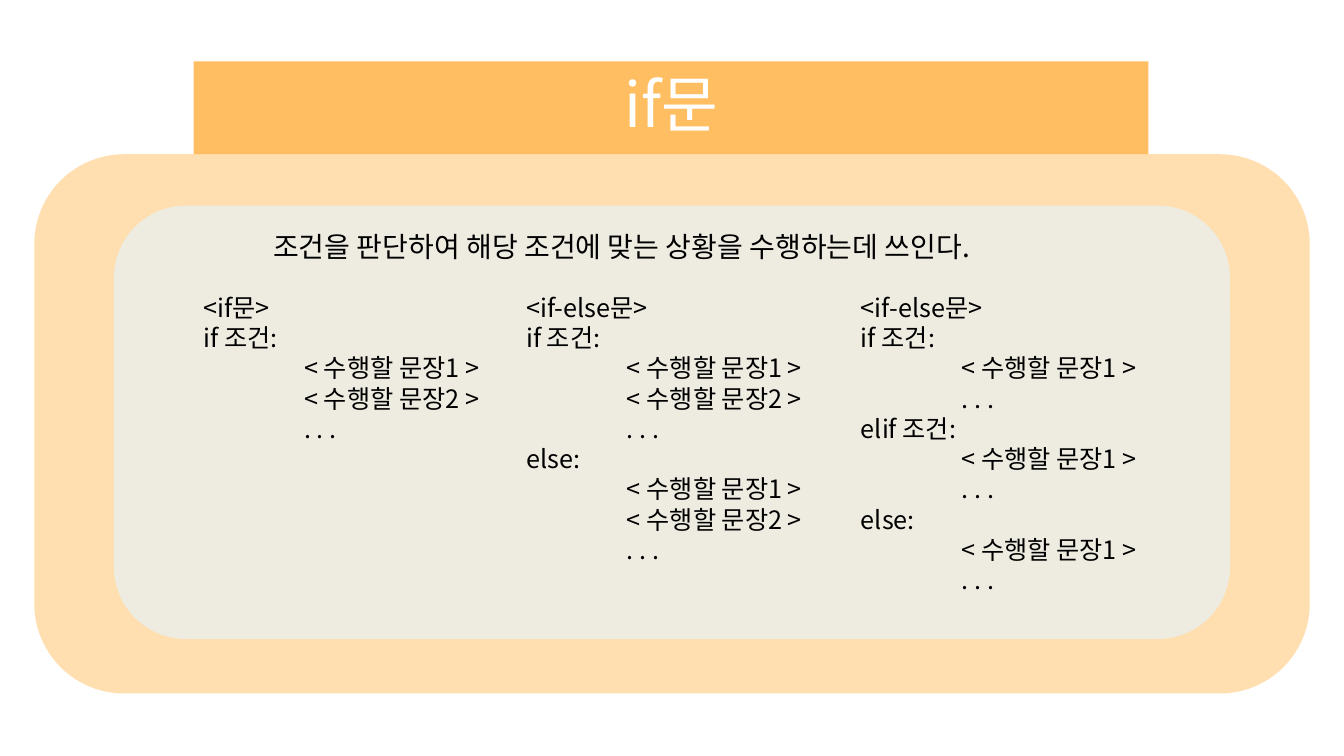
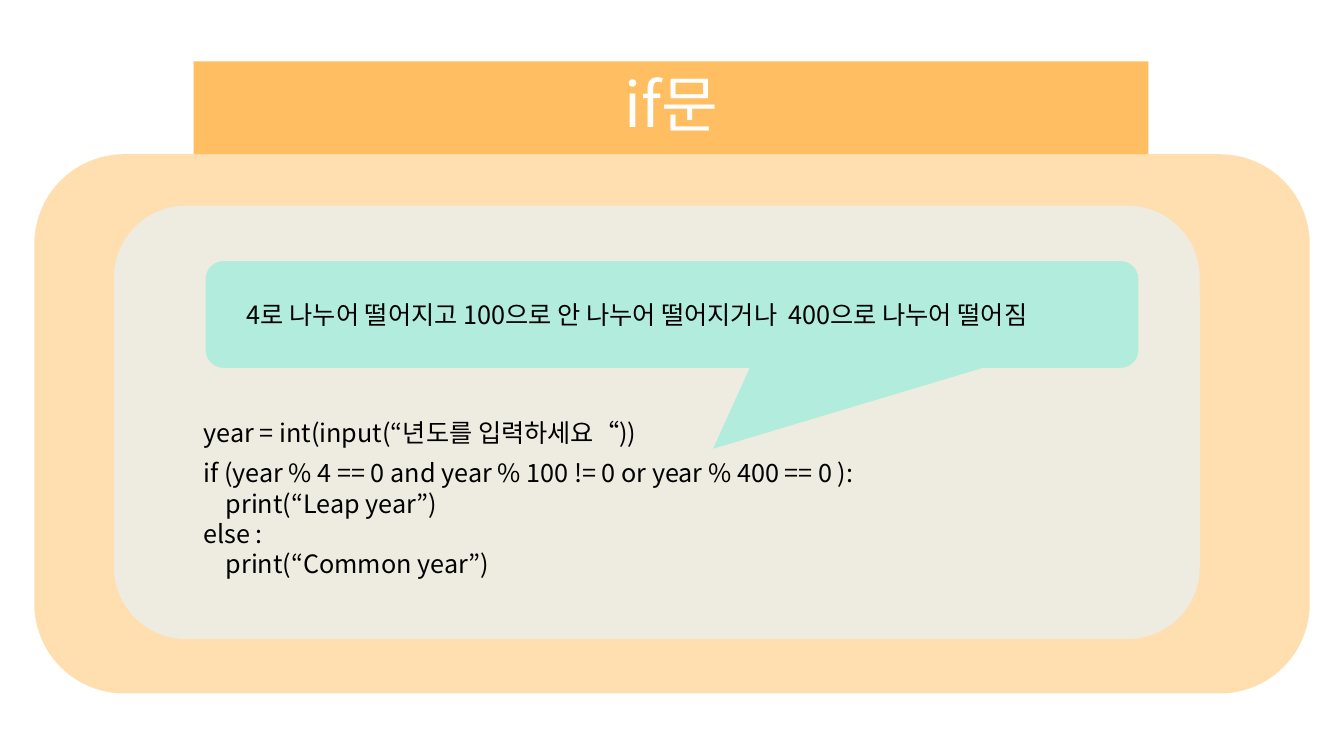
from dataclasses import dataclass

import lxml.etree
import pptx
import pptx.dml.color
import pptx.enum.shapes
import pptx.enum.text
import pptx.oxml.ns
import pptx.presentation
import pptx.shapes.autoshape
import pptx.slide
import pptx.util

Inches = pptx.util.Inches
Shapes = pptx.enum.shapes.MSO_SHAPE

FONT = "Noto Sans CJK KR"
ORANGE, CREAM, MINT = "FFBE61", "EEECE1", "B2ECDD"
BLACK, WHITE = "000000", "FFFFFF"
TITLE_ONLY_LAYOUT = 5
TEXT_LEFT = 1.92


@dataclass(frozen=True)
class Box:
    left: float
    top: float
    width: float
    height: float


@dataclass(frozen=True)
class TextBlock:
    """Lines of text; each leading tab indents a line by one step."""
    box: Box
    lines: tuple[str, ...]
    size: int = 18
    indent_step: float = 1.0


TITLE_BAND = Box(TEXT_LEFT, 0.61, 9.47, 0.92)
OUTER_PANEL = Box(0.34, 1.53, 12.65, 5.35)
CALLOUT = Box(2.04, 2.59, 9.25, 1.06)
CALLOUT_TAIL = (0.044, 1.257, 0.167)

FIRST, SECOND, MORE = "\t< 수행할 문장1 >", "\t< 수행할 문장2 >", "\t. . ."
SYNTAX_BLOCKS = (
    TextBlock(Box(2.61, 2.23, 8.09, 0.44),
              ("조건을 판단하여 해당 조건에 맞는 상황을 수행하는데 쓰인다.",), size=20),
    TextBlock(Box(TEXT_LEFT, 2.85, 3.32, 1.62),
              ("<if문>", "if 조건:", FIRST, SECOND, MORE)),
    TextBlock(Box(5.12, 2.85, 3.32, 2.83),
              ("<if-else문>", "if 조건:", FIRST, SECOND, MORE,
               "else:", FIRST, SECOND, MORE)),
    TextBlock(Box(8.44, 2.85, 3.32, 3.13),
              ("<if-else문>", "if 조건:", FIRST, MORE,
               "elif 조건:", FIRST, MORE, "else:", FIRST, MORE)),
)
LEAP_YEAR_BLOCKS = (
    TextBlock(Box(TEXT_LEFT, 4.09, 4.8, 0.4),
              ("year = int(input(“년도를 입력하세요“))",)),
    TextBlock(Box(TEXT_LEFT, 4.49, 9.47, 1.31),
              ("if (year % 4 == 0 and year % 100 != 0 or year % 400 == 0 ):",
               "\tprint(“Leap year”)", "else :", "\tprint(“Common year”)"),
              indent_step=0.22),
    TextBlock(Box(2.35, 2.92, 8.63, 0.4),
              ("4로 나누어 떨어지고 100으로 안 나누어 떨어지거나  400으로 나누어 떨어짐",)),
)


def color(value: str) -> pptx.dml.color.RGBColor:
    return pptx.dml.color.RGBColor.from_string(value)


def lengths(box: Box) -> tuple[pptx.util.Length, ...]:
    return tuple(Inches(value) for value in (box.left, box.top, box.width, box.height))


def add_child(parent, tag: str, **attributes: str):
    return lxml.etree.SubElement(parent, pptx.oxml.ns.qn(tag), attributes)


def format_runs(paragraph, size: int, text_color: str) -> None:
    for run in paragraph.runs:
        run.font.name = FONT
        run.font.size = pptx.util.Pt(size)
        run.font.color.rgb = color(text_color)
        add_child(run.font._element, "a:ea", typeface=FONT)


def add_panel(slide: pptx.slide.Slide, box: Box, fill: str,
              preset: Shapes = Shapes.ROUNDED_RECTANGLE,
              opacity: int = 100) -> pptx.shapes.autoshape.Shape:
    shape = slide.shapes.add_shape(preset, *lengths(box))
    shape.shadow.inherit = False
    shape.fill.solid()
    shape.fill.fore_color.rgb = color(fill)
    shape.line.fill.background()
    if opacity < 100:
        fill_color = shape._element.spPr.find(".//" + pptx.oxml.ns.qn("a:srgbClr"))
        add_child(fill_color, "a:alpha", val=str(opacity * 1000))
    return shape


def add_text(slide: pptx.slide.Slide, block: TextBlock) -> None:
    text_frame = slide.shapes.add_textbox(*lengths(block.box)).text_frame
    text_frame.word_wrap = True
    text_frame.text = "\n".join(line.lstrip("\t") for line in block.lines)
    for line, paragraph in zip(block.lines, text_frame.paragraphs):
        paragraph.line_spacing = pptx.util.Pt(block.size * 1.2)
        indent = Inches(line.count("\t") * block.indent_step)
        if indent:
            paragraph._p.get_or_add_pPr().set("marL", str(indent))
        format_runs(paragraph, block.size, BLACK)


def format_title(slide: pptx.slide.Slide, text: str) -> None:
    """Turn the title placeholder into a filled, rounded band."""
    title = slide.shapes.title
    title.left, title.top, title.width, title.height = lengths(TITLE_BAND)
    properties = title._element.spPr
    geometry = add_child(properties, "a:prstGeom", prst="roundRect")
    add_child(geometry, "a:avLst")
    title.fill.solid()
    title.fill.fore_color.rgb = color(ORANGE)
    text_frame = title.text_frame
    text_frame.text = text
    text_frame.auto_size = pptx.enum.text.MSO_AUTO_SIZE.NONE
    text_frame.vertical_anchor = pptx.enum.text.MSO_ANCHOR.MIDDLE
    paragraph = text_frame.paragraphs[0]
    paragraph.alignment = pptx.enum.text.PP_ALIGN.CENTER
    paragraph.line_spacing = 0.9
    format_runs(paragraph, 44, WHITE)


def add_framed_slide(presentation: pptx.presentation.Presentation,
                     inner_width: float) -> pptx.slide.Slide:
    """Add a slide with the title band and the two nested panels."""
    slide = presentation.slides.add_slide(presentation.slide_layouts[TITLE_ONLY_LAYOUT])
    format_title(slide, "if문")
    add_panel(slide, OUTER_PANEL, ORANGE, opacity=50)
    add_panel(slide, Box(1.13, 2.04, inner_width, 4.3), CREAM)
    return slide


def build_syntax_slide(presentation: pptx.presentation.Presentation) -> None:
    slide = add_framed_slide(presentation, inner_width=11.07)
    for block in SYNTAX_BLOCKS:
        add_text(slide, block)


def build_leap_year_slide(presentation: pptx.presentation.Presentation) -> None:
    slide = add_framed_slide(presentation, inner_width=10.77)
    callout = add_panel(slide, CALLOUT, MINT, Shapes.ROUNDED_RECTANGULAR_CALLOUT)
    for index, value in enumerate(CALLOUT_TAIL):
        callout.adjustments[index] = value
    for block in LEAP_YEAR_BLOCKS:
        add_text(slide, block)


def main() -> None:
    presentation = pptx.Presentation()
    presentation.slide_width = Inches(13.33)
    presentation.slide_height = Inches(7.5)
    build_syntax_slide(presentation)
    build_leap_year_slide(presentation)
    presentation.save("out.pptx")


if __name__ == "__main__":
    main()
